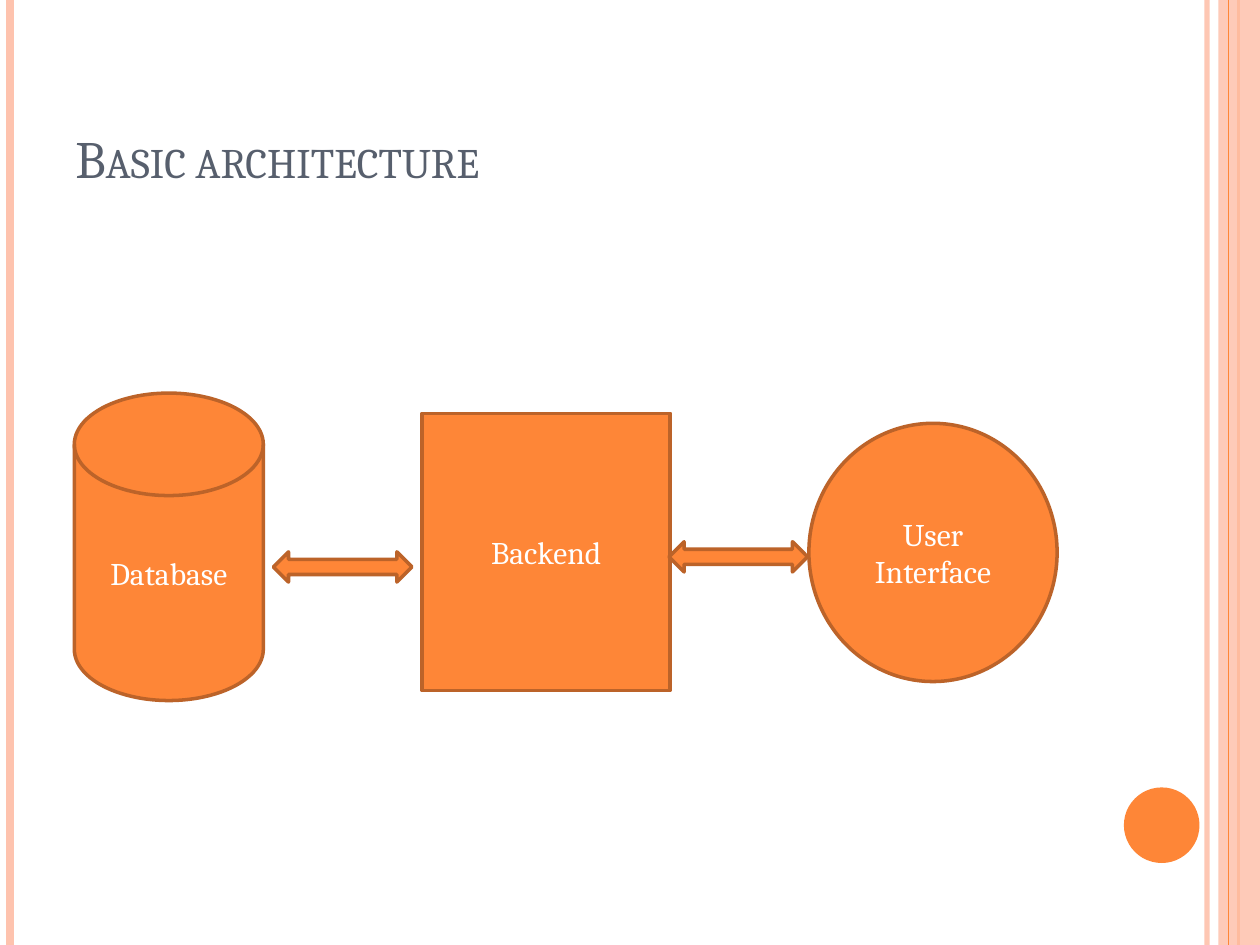
from pptx import Presentation
from pptx.dml.color import RGBColor
from pptx.enum.shapes import MSO_CONNECTOR, MSO_SHAPE
from pptx.enum.text import MSO_ANCHOR, PP_ALIGN
from pptx.oxml.ns import qn
from pptx.util import Inches, Pt
from lxml import etree

LINE = MSO_CONNECTOR.STRAIGHT
RECT, OVAL = MSO_SHAPE.RECTANGLE, MSO_SHAPE.OVAL
DISK, ARROW = MSO_SHAPE.FLOWCHART_MAGNETIC_DISK, MSO_SHAPE.LEFT_RIGHT_ARROW
MIDDLE, BOTTOM = MSO_ANCHOR.MIDDLE, MSO_ANCHOR.BOTTOM
LEFT, CENTER = PP_ALIGN.LEFT, PP_ALIGN.CENTER
COLORS = {"pale": "FEC3AE", "main": "FE8637", "edge": "BC6329",
          "title": "575F6D", "white": "FFFFFF"}


class Deck:
    """Draws styled elements, placed in percent of the slide's size."""

    def __init__(self, wide, high, font):
        self.prs = Presentation()
        self.prs.slide_width, self.prs.slide_height = Inches(wide), Inches(high)
        self.font = font
        self.slide = self.prs.slides.add_slide(self.prs.slide_layouts[6])
        self.shapes = self.slide.shapes

    def place(self, x, y, w, h):
        wide, high = self.prs.slide_width, self.prs.slide_height
        return [round(share * full / 100) for share, full in
                ((x, wide), (y, high), (w, wide), (h, high))]

    def paint(self, fill, name, alpha=100):
        fill.solid()
        fill.fore_color.rgb = RGBColor.from_string(COLORS[name])
        if alpha < 100:
            color = fill._xPr.find(qn("a:solidFill"))[0]
            etree.SubElement(color, qn("a:alpha")).set("val", str(alpha * 1000))

    def label(self, shape, text, size, color, align, anchor):
        frame = shape.text_frame
        frame.text = text
        frame.word_wrap = True
        frame.vertical_anchor = anchor
        para = frame.paragraphs[0]
        para.alignment = align
        run = para.runs[0]
        run.font.name, run.font.size = self.font, Pt(size)
        self.paint(run.font.fill, color)
        return run

    def title(self, text, *box):
        shape = self.shapes.add_textbox(*self.place(*box))
        run = self.label(shape, text, 30, "title", LEFT, BOTTOM)
        run._r.get_or_add_rPr().set("cap", "small")

    def shape(self, kind, box, fill="main", edge=None, text="", alpha=100):
        shape = self.shapes.add_shape(kind, *self.place(*box))
        shape.shadow.inherit = False
        self.paint(shape.fill, fill, alpha)
        if edge:
            self.paint(shape.line.fill, edge)
            shape.line.width = Pt(2)
        else:
            shape.line.fill.background()
        if text:
            self.label(shape, text, 18, "white", CENTER, MIDDLE)

    def rule(self, x, color, width, alpha=100):
        left, top, _, high = self.place(x, 0, 0, 100)
        line = self.shapes.add_connector(LINE, left, top, left, high)
        self.paint(line.line.fill, color, alpha)
        line.line.width = Pt(width)
        etree.SubElement(line._element.spPr, qn("a:effectLst"))


deck = Deck(10, 7.5, "Cambria")

deck.rule(95.8, "pale", 3, 93)
deck.rule(0.8, "pale", 4.5)
deck.rule(98.3, "main", 1.5)
deck.shape(RECT, (96.7, 0, 3.3, 100), "pale", alpha=87)
deck.rule(97.5, "main", 0.75)
deck.shape(OVAL, (89.2, 83.33, 6, 8))

deck.title("Basic architecture", 5, 4, 81.7, 16.67)

for kind, text, box in (
    (DISK, "Database", (5.9, 41.6, 15, 32.53)),
    (RECT, "Backend", (33.5, 43.73, 19.7, 29.33)),
    (OVAL, "User Interface", (64.2, 44.8, 19.7, 27.33)),
):
    deck.shape(kind, box, edge="edge", text=text)

for x, y in ((53.1, 57.33), (21.7, 58.4)):
    deck.shape(ARROW, (x, y, 11, 3.2), edge="edge")

deck.prs.save("out.pptx")
